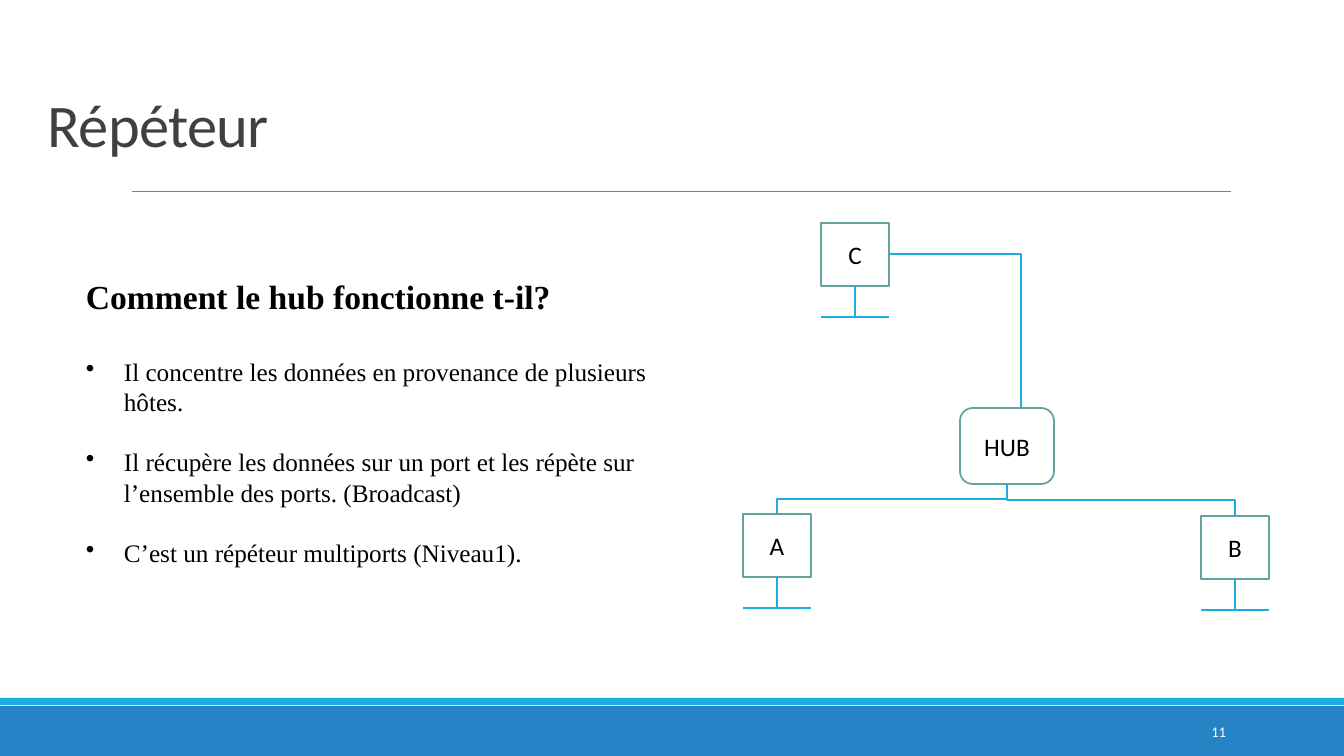
from pptx import Presentation
from pptx.dml.color import RGBColor
from pptx.enum.shapes import MSO_CONNECTOR, MSO_SHAPE
from pptx.enum.text import MSO_ANCHOR, PP_ALIGN
from pptx.oxml.ns import qn
from pptx.util import Pt
from lxml.etree import SubElement

SCALE = 914400 / 100.8  # EMU per px
COLORS = {
    "footer": "2683C6", "accent": "1CADE4", "rule": "808080", "border": "62A39F",
    "title": "404040", "text": "000000", "white": "FFFFFF",
}


def px(*lengths):
    return [round(length * SCALE) for length in lengths]


def write(paragraph, text, color, **font_format):
    run = paragraph.add_run()
    run.text = text
    run.font.color.rgb = RGBColor.from_string(COLORS[color])
    for name, value in font_format.items():
        setattr(run.font, name, value)
    return run


presentation = Presentation()
presentation.slide_width, presentation.slide_height = px(1344, 756)
slide = presentation.slides.add_slide(presentation.slide_layouts[6])
shapes = slide.shapes

# Footer bars
for top, height, color in [(706, 50, "footer"), (698, 7, "accent")]:
    bar = shapes.add_shape(MSO_SHAPE.RECTANGLE, *px(0, top, 1344, height))
    bar.shadow.inherit = False
    bar.fill.solid()
    bar.fill.fore_color.rgb = RGBColor.from_string(COLORS[color])
    bar.line.fill.background()

# Title and slide number
captions = [
    ((38, 105, 1159, 60), "Répéteur", "title", 43.2, -50,
     {"alignment": PP_ALIGN.LEFT, "line_spacing": 0.85}, MSO_ANCHOR.BOTTOM),
    ((1092, 712, 144, 40), "11", "white", 10.5, 0,
     {"alignment": PP_ALIGN.RIGHT}, MSO_ANCHOR.MIDDLE),
]
for box, text, color, size, tracking, paragraph_format, anchor in captions:
    frame = shapes.add_textbox(*px(*box)).text_frame
    frame.word_wrap = True
    frame.vertical_anchor = anchor
    paragraph = frame.paragraphs[0]
    for name, value in paragraph_format.items():
        setattr(paragraph, name, value)
    run = write(paragraph, text, color, name="Calibri", size=Pt(size))
    run.font._element.set("spc", str(tracking))

# Explanation: heading and bullets
explanation = shapes.add_textbox(*px(76, 254, 614, 324)).text_frame
explanation.word_wrap = True
explanation.margin_top = px(22)[0]
heading = explanation.paragraphs[0]
heading.space_after = px(40)[0]
write(heading, "Comment le hub fonctionne t-il?", "text",
      name="Times New Roman", size=Pt(24), bold=True)
bullets = [
    "Il concentre les données en provenance de plusieurs hôtes.",
    "Il récupère les données sur un port et les répète sur l’ensemble des ports. (Broadcast)",
    "C’est un répéteur multiports (Niveau1).",
]
indent = px(38)[0]
for index, text in enumerate(bullets):
    paragraph = explanation.add_paragraph()
    if index:
        paragraph.space_before = px(30)[0]
    write(paragraph, text, "text", name="Times New Roman", size=Pt(18), bold=False)
    properties = paragraph._p.get_or_add_pPr()
    properties.set("marL", str(indent))
    properties.set("indent", str(-indent))
    SubElement(properties, qn("a:buChar")).set("char", "•")

# Hub and stations
STATION_WIDTH, STATION_HEIGHT, STEM = 68, 63, 31
HUB_LEFT, HUB_TOP, HUB_WIDTH, HUB_HEIGHT = 960, 408, 94, 76
hub_center, hub_bottom = HUB_LEFT + HUB_WIDTH // 2, HUB_TOP + HUB_HEIGHT
stations = {"C": (821, 223), "A": (743, 514), "B": (1201, 516)}

nodes = [("HUB", MSO_SHAPE.ROUNDED_RECTANGLE, (HUB_LEFT, HUB_TOP, HUB_WIDTH, HUB_HEIGHT))]
for name, (left, top) in stations.items():
    nodes.append((name, MSO_SHAPE.RECTANGLE, (left, top, STATION_WIDTH, STATION_HEIGHT)))
for name, kind, box in nodes:
    node = shapes.add_shape(kind, *px(*box))
    node.shadow.inherit = False
    node.fill.solid()
    node.fill.fore_color.rgb = RGBColor.from_string(COLORS["white"])
    node.line.color.rgb = RGBColor.from_string(COLORS["border"])
    node.line.width = Pt(1.25)
    frame = node.text_frame
    frame.word_wrap = False
    frame.vertical_anchor = MSO_ANCHOR.MIDDLE
    paragraph = frame.paragraphs[0]
    paragraph.alignment = PP_ALIGN.CENTER
    write(paragraph, name, "text", name="Calibri", size=Pt(18))

# Lines: ends, colour, width, preset and turn
lines = [((132, 191, 1231, 191), "rule", 0.5, "line", 0)]
for left, top in stations.values():
    center, bottom = left + STATION_WIDTH // 2, top + STATION_HEIGHT
    base = bottom + STEM
    lines.append(((center, bottom, center, base), "accent", 1, "line", 0))
    lines.append(((left, base, left + STATION_WIDTH, base), "accent", 1, "line", 0))

# The elbows under the hub leave vertically, so their box is turned about its centre
for name, turn in [("A", 90), ("B", 270)]:
    left, top = stations[name]
    center = left + STATION_WIDTH // 2
    middle_x, middle_y = (center + hub_center) // 2, (top + hub_bottom) // 2
    half_drop, half_span = (top - hub_bottom) // 2, abs(center - hub_center) // 2
    side = half_drop if turn == 90 else -half_drop
    ends = (middle_x + side, middle_y + half_span, middle_x - side, middle_y - half_span)
    lines.append((ends, "accent", 1, "bentConnector3", turn))
left, top = stations["C"]
lines.append(((left + STATION_WIDTH, top + STATION_HEIGHT // 2, 1021, HUB_TOP),
              "accent", 1, "bentConnector2", 0))

for ends, color, width, preset, turn in lines:
    connector = shapes.add_connector(MSO_CONNECTOR.STRAIGHT, *px(*ends))
    connector.line.color.rgb = RGBColor.from_string(COLORS[color])
    connector.line.width = Pt(width)
    properties = connector._element.spPr
    properties.find(qn("a:prstGeom")).set("prst", preset)
    if turn:
        properties.find(qn("a:xfrm")).set("rot", str(turn * 60000))
    SubElement(properties, qn("a:effectLst"))

presentation.save("out.pptx")
